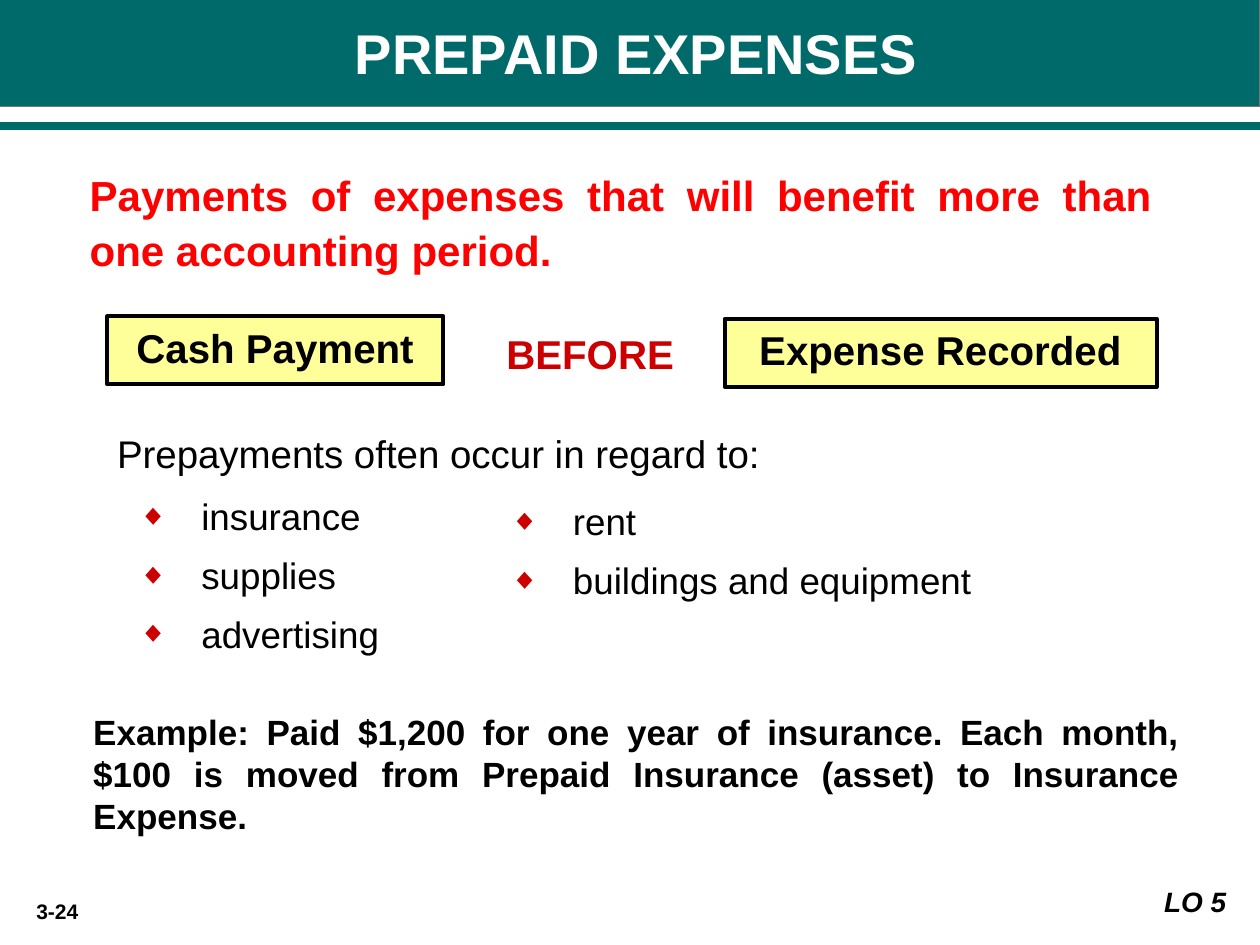
from lxml import etree
from pptx import Presentation
from pptx.dml.color import RGBColor
from pptx.enum import shapes, text
from pptx.oxml import ns
from pptx.util import Cm, Pt

COLORS = {"teal": "006A6A", "gray": "777777", "red": "FF0000", "crimson": "CC0000",
          "yellow": "FFFF99", "black": "000000", "white": "FFFFFF"}
LEFT, CENTER, RIGHT, JUSTIFY = (text.PP_ALIGN.LEFT, text.PP_ALIGN.CENTER,
                                text.PP_ALIGN.RIGHT, text.PP_ALIGN.JUSTIFY)


def color(name):
    return RGBColor.from_string(COLORS[name])


def add_element(parent, tag, **attributes):
    return etree.SubElement(parent, ns.qn(tag), attributes)


def paint(shape, fill=None, line=None, width=1):
    if fill:
        shape.fill.solid()
        shape.fill.fore_color.rgb = color(fill)
    if line:
        shape.line.color.rgb = color(line)
        shape.line.width = Pt(width)
    else:
        shape.line.fill.background()
    shape.shadow.inherit = False


def add_bullet(para):
    properties = para._p.get_or_add_pPr()
    properties.set("marL", str(Cm(1.57)))
    properties.set("indent", str(Cm(-1.27)))
    add_element(add_element(properties, "a:buClr"), "a:srgbClr", val=COLORS["crimson"])
    add_element(properties, "a:buSzPct", val="80000")
    add_element(properties, "a:buFont", typeface="Arial")
    add_element(properties, "a:buChar", char="◆")


def write(shape, lines, size, ink="black", align=LEFT, bold=False, italic=False,
          bullets=False, spacing=None, side=0.25, bottom=0.13,
          anchor=text.MSO_ANCHOR.TOP):
    frame = shape.text_frame
    settings = {"word_wrap": True, "vertical_anchor": anchor,
                "margin_left": Cm(side), "margin_right": Cm(side),
                "margin_top": Cm(0.13), "margin_bottom": Cm(bottom)}
    for name, value in settings.items():
        setattr(frame, name, value)
    for index, line in enumerate(lines):
        para = frame.paragraphs[0] if index == 0 else frame.add_paragraph()
        para.alignment = align
        if spacing:
            para.line_spacing = spacing
        if index:
            para.space_before = Pt(8.4)
        if bullets:
            add_bullet(para)
        span = para.add_run()
        span.text = line
        font = {"name": "Arial", "size": Pt(size), "bold": bold, "italic": italic}
        for name, value in font.items():
            setattr(span.font, name, value)
        span.font.color.rgb = color(ink)


def add_text(page, box, lines, size, **style):
    write(page.shapes.add_textbox(*map(Cm, box)), lines, size, **style)


def add_panel(page, box, line, size, fill, border=None, **style):
    panel = page.shapes.add_shape(shapes.MSO_SHAPE.RECTANGLE, *map(Cm, box))
    paint(panel, fill, border, 2.25)
    write(panel, [line], size, bold=True, **style)


def build_header(page, box):
    left, top, width, height = box
    title = page.shapes.title
    bounds = (left - 0.05, top - 0.03, width + 0.05, height - 0.36)
    for name, value in zip(("left", "top", "width", "height"), bounds):
        setattr(title, name, Cm(value))
    paint(title, "teal", "gray")
    write(title, ["PREPAID EXPENSES"], 32, ink="white", align=CENTER, bold=True,
          side=0.23, anchor=text.MSO_ANCHOR.MIDDLE)
    title.text_frame.margin_left = Cm(0.53)

    rule = page.shapes.add_connector(shapes.MSO_CONNECTOR.STRAIGHT, Cm(left),
                                     Cm(top + height), Cm(left + width), Cm(top + height))
    rule.line.color.rgb = color("teal")
    rule.line.width = Pt(4.5)
    add_element(rule._element.spPr, "a:effectLst")


def build_timing(page, box):
    left, top, width, height = box
    style = {"fill": "yellow", "border": "black", "align": CENTER, "bottom": 0.25}
    add_panel(page, (left, top, 6.78, height), "Cash Payment", 23, **style)
    add_panel(page, (left + width - 8.71, top + 0.05, 8.71, height),
              "Expense Recorded", 23, **style)
    add_text(page, (left + 6.78, top + 0.12, 5.92, 1.22), ["BEFORE"], 23,
             ink="crimson", align=CENTER, bold=True)


def build_prepayments(page, box):
    left, top, width, height = box
    add_text(page, (left, top, 17.58, 1.19), ["Prepayments often occur in regard to:"], 22)
    add_text(page, (left + 0.13, top + 1.3, 6.78, height - 1.3),
             ["insurance", "supplies", "advertising"], 21, bullets=True)
    add_text(page, (left + 7.62, top + 1.4, width - 7.62, 2.41),
             ["rent", "buildings and equipment"], 21, bullets=True)


def build_footer(page, box):
    left, top, width, height = box
    add_text(page, (left, top + 0.28, 1.91, height - 0.28), ["3-24"], 12,
             align=CENTER, bold=True)
    add_panel(page, (left + width - 1.91, top, 1.91, 0.94), "LO 5", 16, "white",
              align=RIGHT, italic=True)


def main():
    deck = Presentation()
    deck.slide_width, deck.slide_height = Cm(25.4), Cm(19.05)
    page = deck.slides.add_slide(deck.slide_layouts[5])

    build_header(page, (0, 0, 25.4, 2.54))
    # Definition
    add_text(page, (1.3, 3.18, 22.43, 2.54),
             ["Payments of expenses that will benefit more than one accounting period."],
             24, ink="red", align=JUSTIFY, bold=True, spacing=1.1, side=0.51)
    build_timing(page, (2.16, 6.38, 21.16, 1.37))
    build_prepayments(page, (2.11, 8.53, 20.75, 4.93))
    # Worked example
    add_text(page, (1.63, 14.2, 22.4, 2.82),
             ["Example: Paid $1,200 for one year of insurance. Each month, $100 is "
              "moved from Prepaid Insurance (asset) to Insurance Expense."],
             20, align=JUSTIFY, bold=True)
    build_footer(page, (0.2, 17.7, 24.77, 1.04))
    deck.save("out.pptx")


if __name__ == "__main__":
    main()
